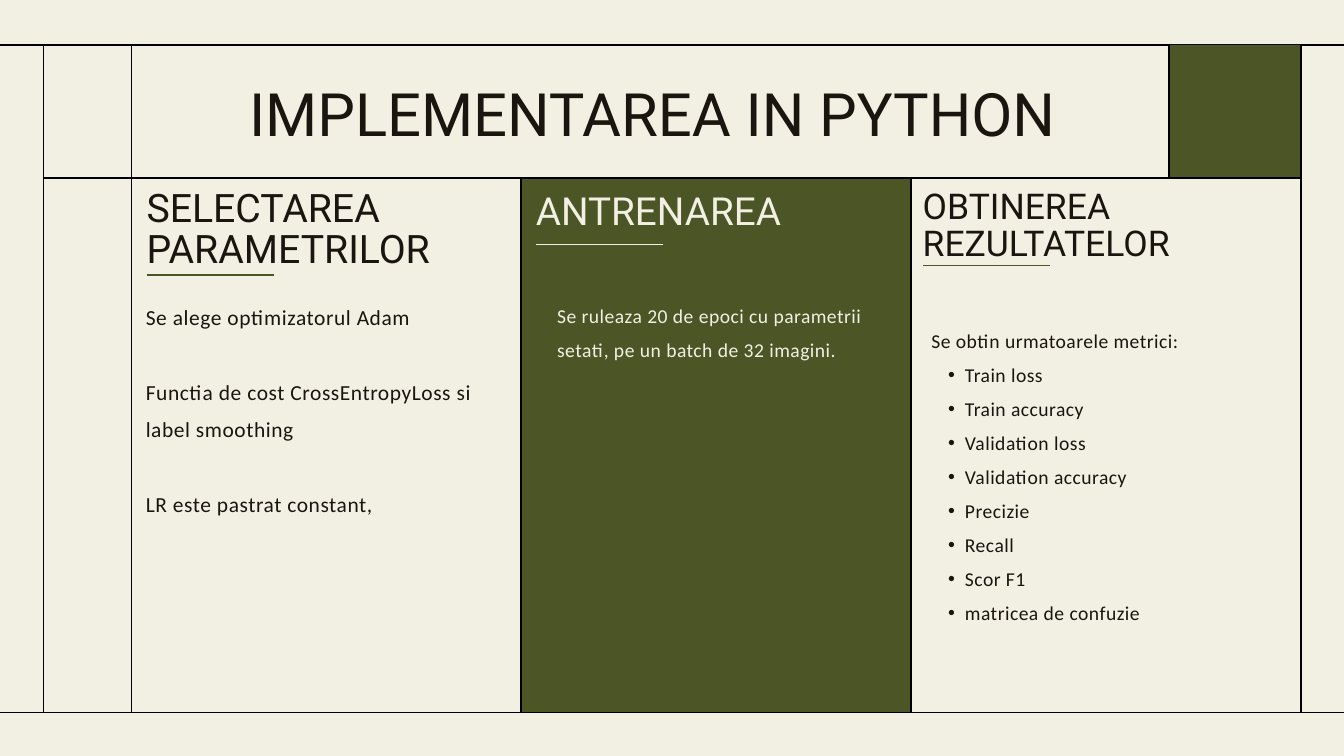
from lxml.etree import SubElement
from pptx import Presentation
from pptx.dml.color import RGBColor
from pptx.enum.shapes import MSO_CONNECTOR, MSO_SHAPE
from pptx.enum.text import MSO_ANCHOR, MSO_AUTO_SIZE, PP_ALIGN
from pptx.oxml.ns import qn
from pptx.util import Pt

COLORS = {
    "cream": "F2F0E3",
    "olive": "4C5526",
    "ink": "1A160F",
    "black": "000000",
}
SLIDE_WIDTH, SLIDE_HEIGHT = 1440, 810
TOP, HEADER_BOTTOM, BOTTOM = 48.2, 190.8, 763.2
MARGIN_LEFT, FIRST_COLUMN, COLUMN_WIDTH = 46.8, 140.6, 417.8
COLUMN_EDGES = [FIRST_COLUMN + COLUMN_WIDTH * index for index in range(4)]
CORNER_LEFT = 1252.4
UNDERLINE_WIDTH = 136.5

METRICS = [
    "Train loss",
    "Train accuracy",
    "Validation loss",
    "Validation accuracy",
    "Precizie",
    "Recall",
    "Scor F1",
    "matricea de confuzie",
]


def color(name):
    return RGBColor.from_string(COLORS[name])


def add_line(slide, x1, y1, x2, y2, color_name="black"):
    line = slide.shapes.add_connector(
        MSO_CONNECTOR.STRAIGHT, Pt(x1), Pt(y1), Pt(x2), Pt(y2)
    )
    line.line.color.rgb = color(color_name)
    line.line.width = Pt(1.5)
    SubElement(line._element.spPr, qn("a:effectLst"))


def add_block(slide, left, top, right, bottom):
    block = slide.shapes.add_shape(
        MSO_SHAPE.RECTANGLE, Pt(left), Pt(top), Pt(right - left), Pt(bottom - top)
    )
    block.shadow.inherit = False
    block.fill.solid()
    block.fill.fore_color.rgb = color("olive")
    block.line.fill.background()


def place_text(shape, left, top, width, height, text):
    shape.left, shape.top = Pt(left), Pt(top)
    shape.width, shape.height = Pt(width), Pt(height)
    frame = shape.text_frame
    frame.margin_left = frame.margin_right = 0
    frame.margin_top = frame.margin_bottom = 0
    frame.word_wrap = True
    frame.auto_size = MSO_AUTO_SIZE.NONE
    frame.vertical_anchor = MSO_ANCHOR.TOP
    frame.text = text
    return frame


def format_text(frame, font_name, size, line_spacing, color_name="ink",
                tracking=0, gap=0, alignment=PP_ALIGN.LEFT):
    for paragraph in frame.paragraphs:
        paragraph.alignment = alignment
        paragraph.line_spacing = Pt(line_spacing)
        paragraph.space_before = Pt(0)
        paragraph.space_after = Pt(gap)
        for run in paragraph.runs:
            run.font.name = font_name
            run.font.size = Pt(size)
            run.font.color.rgb = color(color_name)
            run._r.get_or_add_rPr().set("spc", str(round(tracking * 100)))


def set_bullet(paragraph, character=None):
    properties = paragraph._p.get_or_add_pPr()
    properties.set("marL", str(Pt(36) if character else 0))
    properties.set("indent", str(Pt(-18) if character else 0))
    if character:
        paragraph.level = 1
        SubElement(properties, qn("a:buFont"), typeface="Arial")
        SubElement(properties, qn("a:buChar"), char=character)
    else:
        SubElement(properties, qn("a:buNone"))


def add_grid(slide):
    add_line(slide, 0, TOP, SLIDE_WIDTH, TOP)
    add_block(slide, COLUMN_EDGES[1], HEADER_BOTTOM, COLUMN_EDGES[2], BOTTOM)
    add_block(slide, CORNER_LEFT, TOP, COLUMN_EDGES[3], HEADER_BOTTOM)
    add_line(slide, MARGIN_LEFT, HEADER_BOTTOM, COLUMN_EDGES[3], HEADER_BOTTOM)
    add_line(slide, 0, BOTTOM, SLIDE_WIDTH, BOTTOM)
    for x in (MARGIN_LEFT, COLUMN_EDGES[0], COLUMN_EDGES[3]):
        add_line(slide, x, TOP, x, BOTTOM)
    for x in COLUMN_EDGES[1:3]:
        add_line(slide, x, HEADER_BOTTOM, x, BOTTOM)
    add_line(slide, CORNER_LEFT, TOP, CORNER_LEFT, HEADER_BOTTOM)


def add_title(slide, text):
    frame = place_text(slide.shapes.title, 145.4, 93.6, 1106.6, 67.7, text)
    format_text(frame, "Roboto", 64, 65.9, alignment=PP_ALIGN.CENTER)


def add_text(slide, left, top, width, height, text, **formatting):
    text_box = slide.shapes.add_textbox(0, 0, 0, 0)
    frame = place_text(text_box, left, top, width, height, text)
    format_text(frame, **formatting)


def add_heading(slide, left, top, width, height, text, size, line_spacing,
                underline_top, text_color="ink", underline_color="olive"):
    add_text(slide, left, top, width, height, text, font_name="Roboto",
             size=size, line_spacing=line_spacing, color_name=text_color)
    add_line(slide, left, underline_top, left + UNDERLINE_WIDTH, underline_top,
             underline_color)


def add_metrics(slide, intro, metrics):
    frame = place_text(slide.placeholders[1], 997.9, 340.6, 377.3, 357.8,
                       "\n".join([intro, *metrics]))
    first, *items = frame.paragraphs
    set_bullet(first)
    for item in items:
        set_bullet(item, "•")
    format_text(frame, "Calibri", 21, 36.5, tracking=0.5)


def main():
    presentation = Presentation()
    presentation.slide_width = Pt(SLIDE_WIDTH)
    presentation.slide_height = Pt(SLIDE_HEIGHT)
    slide = presentation.slides.add_slide(presentation.slide_layouts[1])
    slide.background.fill.solid()
    slide.background.fill.fore_color.rgb = color("cream")

    add_grid(slide)
    add_title(slide, "IMPLEMENTAREA IN PYTHON")

    add_heading(slide, 157, 203.8, 385.2, 88.6, "SELECTAREA PARAMETRILOR",
                42, 43.2, 294.5)
    add_text(slide, 156.2, 313.9, 363.6, 275.8,
             "Se alege optimizatorul Adam\n"
             "Functia de cost CrossEntropyLoss si label smoothing\n"
             "LR este pastrat constant,",
             font_name="Calibri", size=23, line_spacing=40, tracking=0.6, gap=40)

    add_heading(slide, 574.2, 207.4, 414.7, 44.6, "ANTRENAREA",
                41.4, 42.6, 262.1, "cream", "cream")
    add_text(slide, 596.9, 314.6, 331.9, 105.8,
             "Se ruleaza 20 de epoci cu parametrii setati, pe un batch de 32 imagini.",
             font_name="Calibri", size=21, line_spacing=36.5,
             color_name="cream", tracking=0.5)

    add_heading(slide, 988.6, 203.8, 430.6, 80.6, "OBTINEREA REZULTATELOR",
                38, 39.1, 284.4)
    add_metrics(slide, "Se obtin urmatoarele metrici:", METRICS)

    presentation.save("out.pptx")


if __name__ == "__main__":
    main()
